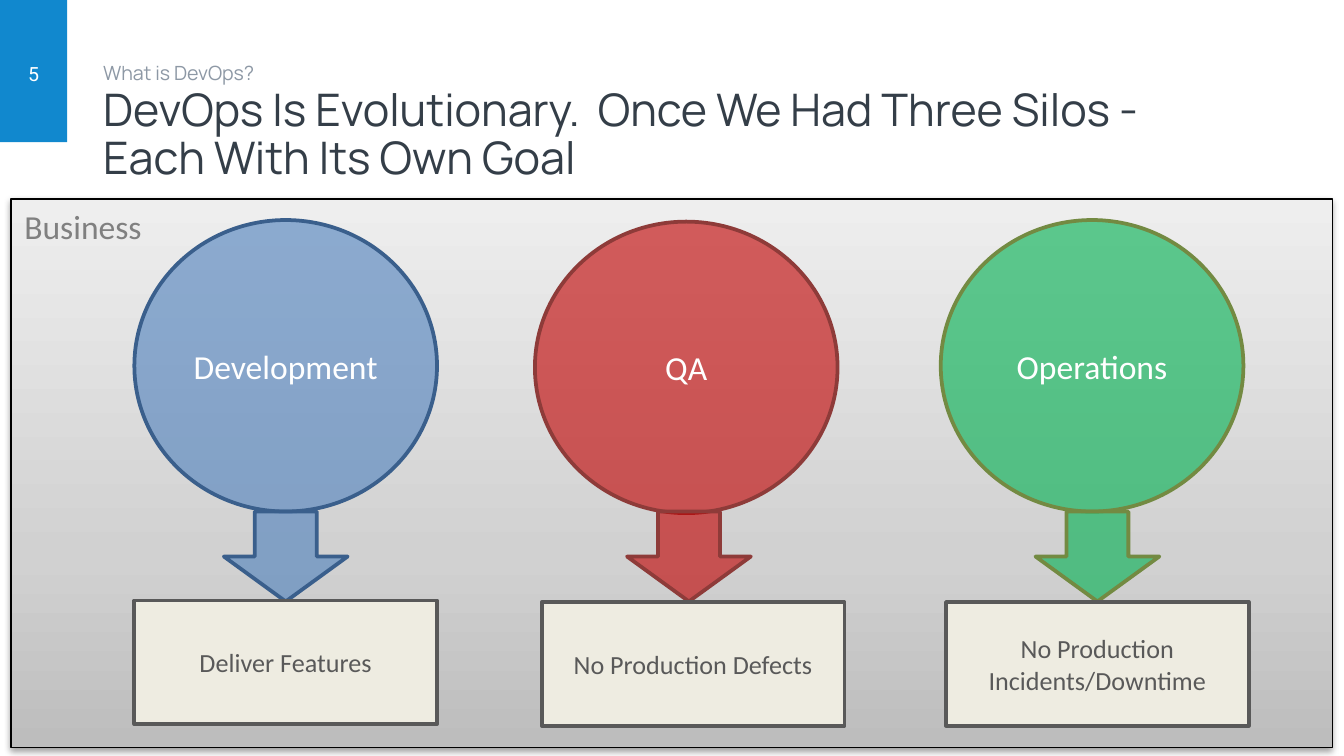
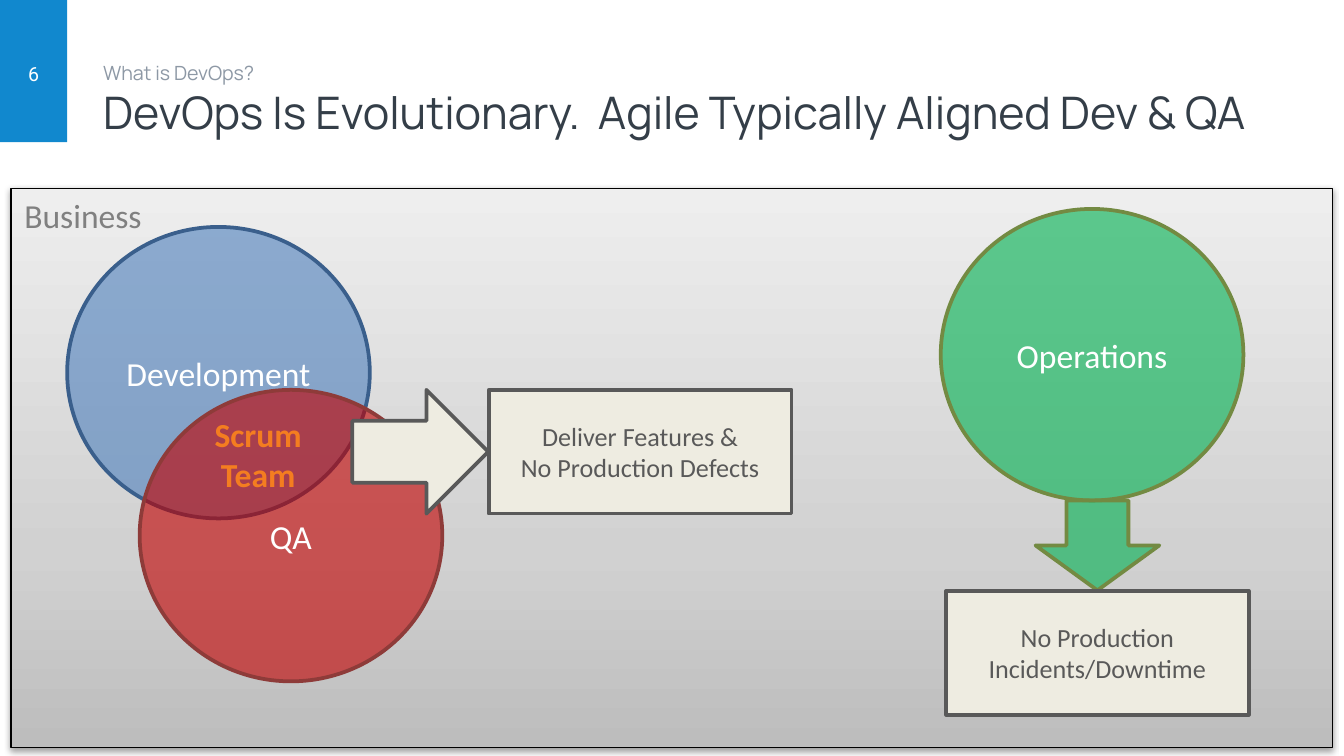
import copy
import lxml.etree
import pptx
import pptx.dml.color
import pptx.enum.shapes
import pptx.enum.text
import pptx.oxml.ns
import pptx.util

Cm = pptx.util.Cm
Pt = pptx.util.Pt
rgb = pptx.dml.color.RGBColor.from_string
qn = pptx.oxml.ns.qn
MSO = pptx.enum.shapes.MSO_SHAPE
ANCHOR = pptx.enum.text.MSO_ANCHOR
ALIGN = pptx.enum.text.PP_ALIGN

DEV = ("4F81BD", "3A5F8C", 61)
QA = ("C00000", "8E3B39", 61)
OPS = ("00B050", "738A42", 61)
GOAL = ("EEECE1", "595959", 100)
GRADIENT = [(0, "BDBDBD"), (0.35, "D1D1D1"), (1, "EEEEEE")]
CIRCLE_W, CIRCLE_H = 5.72, 5.51
BOX_H = 2.34
ARROW_W = 1.7


def write(tf, lines, font, size, color, align=ALIGN.CENTER, anchor=ANCHOR.MIDDLE):
    tf.word_wrap = True
    tf.vertical_anchor = anchor
    for i, line in enumerate(lines):
        p = tf.paragraphs[0] if i == 0 else tf.add_paragraph()
        p.alignment = align
        r = p.add_run()
        r.text = line
        r.font.name = font
        r.font.size = Pt(size)
        r.font.color.rgb = rgb(color)


def add_shape(s, kind, x, y, w, h, style):
    fill, line, opacity = style
    sp = s.shapes.add_shape(kind, Cm(x), Cm(y), Cm(w), Cm(h))
    sp.shadow.inherit = False
    sp.fill.solid()
    sp.fill.fore_color.rgb = rgb(fill)
    if opacity < 100:
        clr = sp._element.spPr.find(qn("a:solidFill"))[0]
        lxml.etree.SubElement(clr, qn("a:alpha"), val=str(opacity * 1000))
    if line:
        sp.line.color.rgb = rgb(line)
        sp.line.width = Pt(2)
    else:
        sp.line.fill.background()
    return sp


prs = pptx.Presentation()
prs.slide_width = Cm(25.4)
prs.slide_height = Cm(14.29)

pages = [
    ("5", "DevOps Is Evolutionary.  Once We Had Three Silos - Each With Its Own Goal",
     (1.7, 1.17, 21.16, 2.79), 3.76),
    ("6", "DevOps Is Evolutionary.  Agile Typically Aligned Dev & QA",
     (1.7, 0.97, 22.86, 2.39), 3.56),
]

for number, title, title_at, panel_top in pages:
    s = prs.slides.add_slide(prs.slide_layouts[6])
    add_shape(s, MSO.RECTANGLE, 0, 0, 1.27, 2.69, ("1188CE", None, 100))

    sp = add_shape(s, MSO.RECTANGLE, 0.21, panel_top, 24.97, 14.13 - panel_top,
                   ("BDBDBD", "000000", 100))
    sp.line.width = Pt(0.75)
    sp.fill.gradient()
    sp.fill.gradient_angle = 90
    stops = sp._element.spPr.find(qn("a:gradFill")).find(qn("a:gsLst"))
    stops.insert(1, copy.deepcopy(stops[0]))
    for stop, (position, color) in zip(sp.fill.gradient_stops, GRADIENT):
        stop.position = position
        stop.color.rgb = rgb(color)
    effects = sp._element.spPr.find(qn("a:effectLst"))
    shadow = lxml.etree.SubElement(effects, qn("a:outerShdw"), blurRad="40000",
                                   dist="20000", dir="5400000", rotWithShape="0")
    clr = lxml.etree.SubElement(shadow, qn("a:srgbClr"), val="000000")
    lxml.etree.SubElement(clr, qn("a:alpha"), val="38000")
    write(sp.text_frame, ["Business"], "Calibri", 18, "808080", ALIGN.LEFT, ANCHOR.TOP)

    for at, text, font, size, color, align, anchor in [
        (title_at, title, "Manrope", 24, "343E48", ALIGN.LEFT, ANCHOR.MIDDLE),
        ((1.7, 1.02, 13.97, 0.89), "What is DevOps?", "Manrope", 10.5, "8D98A5",
         ALIGN.LEFT, ANCHOR.TOP),
        ((0, 1.02, 1.27, 0.76), number, "Roboto", 10.5, "FFFFFF",
         ALIGN.CENTER, ANCHOR.MIDDLE),
    ]:
        tf = s.shapes.add_textbox(*[Cm(v) for v in at]).text_frame
        write(tf, [text], font, size, color, align, anchor)
        if text == title:
            tf.paragraphs[0].line_spacing = 0.9

silos, agile = prs.slides

circles = [
    (silos, 2.54, 4.16, DEV, "Development"),
    (silos, 10.11, 4.19, QA, "QA"),
    (silos, 17.78, 4.16, OPS, "Operations"),
    (agile, 1.27, 4.29, DEV, "Development"),
    (agile, 2.64, 7.37, QA, "QA"),
    (agile, 17.78, 3.95, OPS, "Operations"),
]
for s, x, y, style, name in circles:
    sp = add_shape(s, MSO.OVAL, x, y, CIRCLE_W, CIRCLE_H, style)
    write(sp.text_frame, [name], "Calibri", 18, "FFFFFF")

down_arrows = [
    (silos, 4.55, 9.35, DEV),
    (silos, 12.17, 9.35, QA),
    (silos, 19.89, 9.35, OPS),
    (agile, 19.89, 9.14, OPS),
]
for s, x, y, style in down_arrows:
    sp = add_shape(s, MSO.RIGHT_ARROW, x, y, ARROW_W, BOX_H, style)
    sp.rotation = 90

add_shape(agile, MSO.RIGHT_ARROW, 6.66, 7.37, 2.57, BOX_H, GOAL)

goals = [
    (silos, 2.54, 11.35, ["Deliver Features"]),
    (silos, 10.24, 11.38, ["No Production Defects"]),
    (silos, 17.88, 11.38, ["No Production Incidents/Downtime"]),
    (agile, 9.24, 7.37, ["Deliver Features &", "No Production Defects"]),
    (agile, 17.88, 11.17, ["No Production Incidents/Downtime"]),
]
for s, x, y, lines in goals:
    sp = add_shape(s, MSO.RECTANGLE, x, y, CIRCLE_W, BOX_H, GOAL)
    write(sp.text_frame, lines, "Calibri", 14, "595959")

tf = agile.shapes.add_textbox(Cm(3.61), Cm(7.7), Cm(2.54), Cm(1.8)).text_frame
write(tf, ["Scrum Team"], "Calibri", 18, "F47D20", anchor=ANCHOR.TOP)
tf.paragraphs[0].runs[0].font.bold = True

prs.save("out.pptx")
